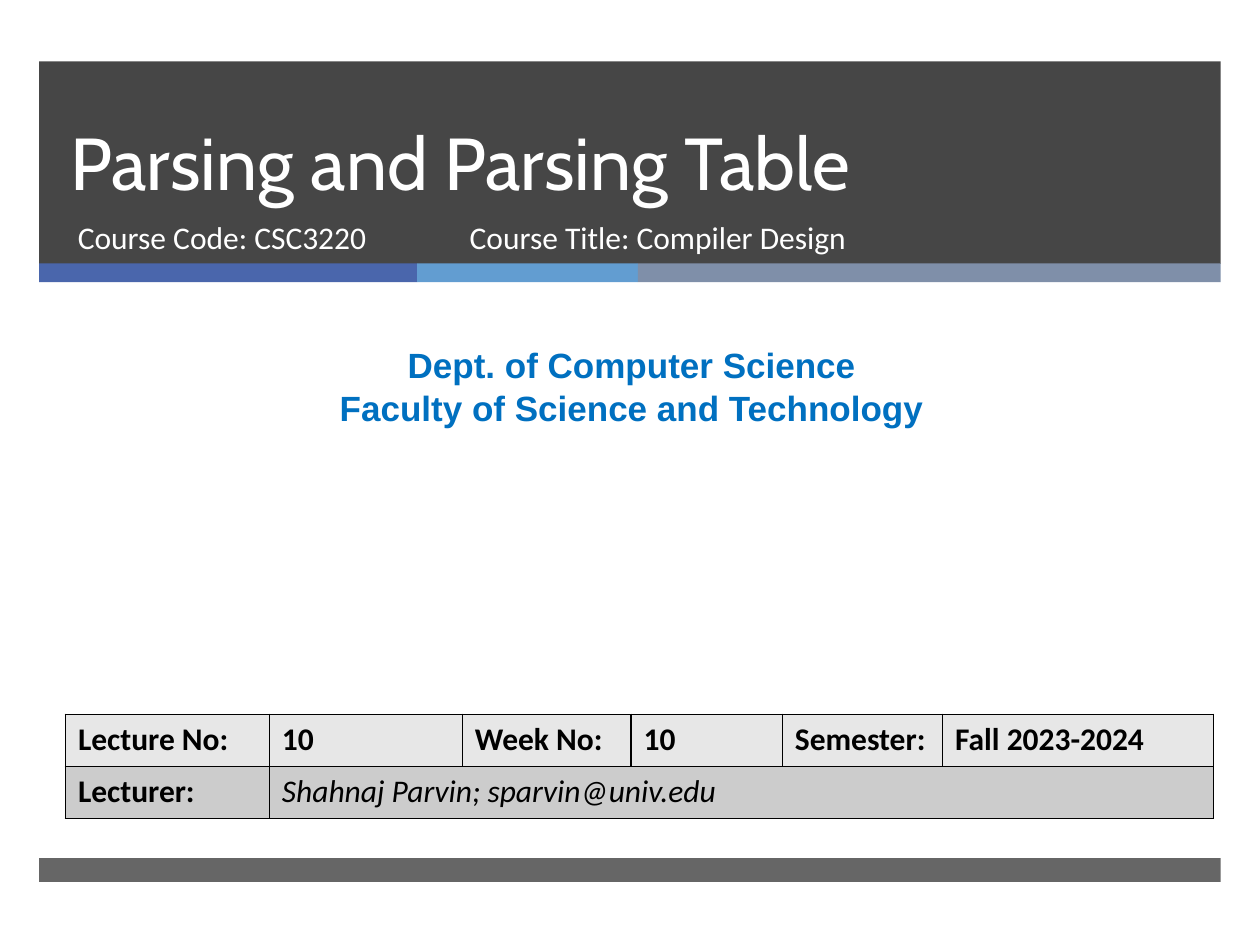
from dataclasses import dataclass

from lxml import etree
from pptx import Presentation
from pptx.dml.color import RGBColor
from pptx.enum.shapes import MSO_SHAPE
from pptx.enum.text import MSO_ANCHOR, MSO_AUTO_SIZE, PP_ALIGN
from pptx.oxml.ns import qn
from pptx.util import Cm, Pt

RECTANGLE = MSO_SHAPE.RECTANGLE
TOP, BOTTOM = MSO_ANCHOR.TOP, MSO_ANCHOR.BOTTOM
NO_FIT = MSO_AUTO_SIZE.NONE
LEFT, CENTER = PP_ALIGN.LEFT, PP_ALIGN.CENTER


@dataclass(frozen=True)
class Theme:
    dark: str = "262626"
    stripes: tuple = ("4A66AC", "629DD1", "7F8FA9")
    white: str = "FFFFFF"
    black: str = "000000"
    accent: str = "0070C0"
    rows: tuple = ("E7E7E7", "CCCCCC")
    title_font: str = "Cabin"
    body_font: str = "Calibri"
    department_font: str = "Arial"
    title_size: int = 42
    department_size: int = 20
    body_size: int = 18


THEME = Theme()
BAND_LEFT, BAND_WIDTH = 0.79, 23.82
STRIPE_WIDTHS = (7.62, 4.45, 11.75)
COLUMN_WIDTHS = (4.11, 3.89, 3.4, 3.05, 3.23, 5.46)
ROW_HEIGHT = 1.05
LECTURE = ("Lecture No:", "10", "Week No:", "10", "Semester:", "Fall 2023-2024")
LECTURER = ("Lecturer:", "Shahnaj Parvin; sparvin@univ.edu")


def style_font(paragraph, name, size, color, bold=False, italic=False):
    font = paragraph.font
    font.name, font.size = name, Pt(size)
    font.bold, font.italic = bold, italic
    font.color.rgb = RGBColor.from_string(color)


def add_bar(slide, left, top, width, height, color, opacity=100):
    bar = slide.shapes.add_shape(RECTANGLE, Cm(left), Cm(top), Cm(width), Cm(height))
    bar.shadow.inherit = False
    bar.line.fill.background()
    bar.fill.solid()
    bar.fill.fore_color.rgb = RGBColor.from_string(color)
    if opacity < 100:
        tint = bar.element.spPr.find(qn("a:solidFill")).find(qn("a:srgbClr"))
        etree.SubElement(tint, qn("a:alpha"), val=str(opacity * 1000))


def add_bands(slide):
    add_bar(slide, BAND_LEFT, 1.24, BAND_WIDTH, 4.08, THEME.dark, 85)
    left = BAND_LEFT
    for width, color in zip(STRIPE_WIDTHS, THEME.stripes):
        add_bar(slide, left, 5.31, width, 0.38, color)
        left += width
    add_bar(slide, BAND_LEFT, 17.3, BAND_WIDTH, 0.48, THEME.dark, 70)


def place_title(slide, text):
    title = slide.shapes.title
    title.element.getparent().append(title.element)
    title.left, title.top, title.width, title.height = Cm(1.17), Cm(1.24), Cm(21.69), Cm(3.02)
    frame = title.text_frame
    frame.text = text
    frame.auto_size, frame.vertical_anchor = NO_FIT, BOTTOM
    paragraph = frame.paragraphs[0]
    paragraph.alignment, paragraph.line_spacing = LEFT, Pt(46)
    style_font(paragraph, THEME.title_font, THEME.title_size, THEME.white)


def add_text(slide, left, top, width, height, text, name, size, color, bold=False, align=LEFT):
    box = slide.shapes.add_textbox(Cm(left), Cm(top), Cm(width), Cm(height))
    frame = box.text_frame
    frame.word_wrap, frame.vertical_anchor = True, TOP
    frame.text = text
    for paragraph in frame.paragraphs:
        paragraph.alignment = align
        style_font(paragraph, name, size, color, bold)


def outline_cell(cell):
    properties = cell._tc.get_or_add_tcPr()
    for position, side in enumerate(("lnL", "lnR", "lnT", "lnB")):
        line = etree.Element(qn(f"a:{side}"), w=str(Pt(1)))
        fill = etree.SubElement(line, qn("a:solidFill"))
        etree.SubElement(fill, qn("a:srgbClr"), val=THEME.black)
        properties.insert(position, line)


def add_lecture_table(slide):
    frame = slide.shapes.add_table(2, len(COLUMN_WIDTHS), Cm(1.32), Cm(14.4),
                                   Cm(sum(COLUMN_WIDTHS)), Cm(2 * ROW_HEIGHT))
    table = frame.table
    for column, width in zip(table.columns, COLUMN_WIDTHS):
        column.width = Cm(width)
    table.cell(1, 1).merge(table.cell(1, len(COLUMN_WIDTHS) - 1))
    for row_index, texts in enumerate((LECTURE, LECTURER)):
        table.rows[row_index].height = Cm(ROW_HEIGHT)
        for cell in table.rows[row_index].cells:
            cell.fill.solid()
            cell.fill.fore_color.rgb = RGBColor.from_string(THEME.rows[row_index])
            outline_cell(cell)
        for column_index, text in enumerate(texts):
            cell = table.cell(row_index, column_index)
            cell.text = text
            is_lecturer = cell.is_merge_origin
            style_font(cell.text_frame.paragraphs[0], THEME.body_font, THEME.body_size,
                       THEME.black, bold=not is_lecturer, italic=is_lecturer)


def main():
    deck = Presentation()
    deck.slide_width, deck.slide_height = Cm(25.4), Cm(19.05)
    slide = deck.slides.add_slide(deck.slide_layouts[5])
    add_bands(slide)
    place_title(slide, "Parsing and Parsing Table")
    for left, width, text in ((1.32, 7.75, "Course Code: CSC3220"),
                              (9.22, 11.56, "Course Title: Compiler Design")):
        add_text(slide, left, 4.27, width, 1.35, text,
                 THEME.body_font, THEME.body_size, THEME.white)
    add_text(slide, 0.2, 6.81, 25.07, 1.96,
             "Dept. of Computer Science\nFaculty of Science and Technology",
             THEME.department_font, THEME.department_size, THEME.accent, True, CENTER)
    add_lecture_table(slide)
    deck.save("out.pptx")


if __name__ == "__main__":
    main()
